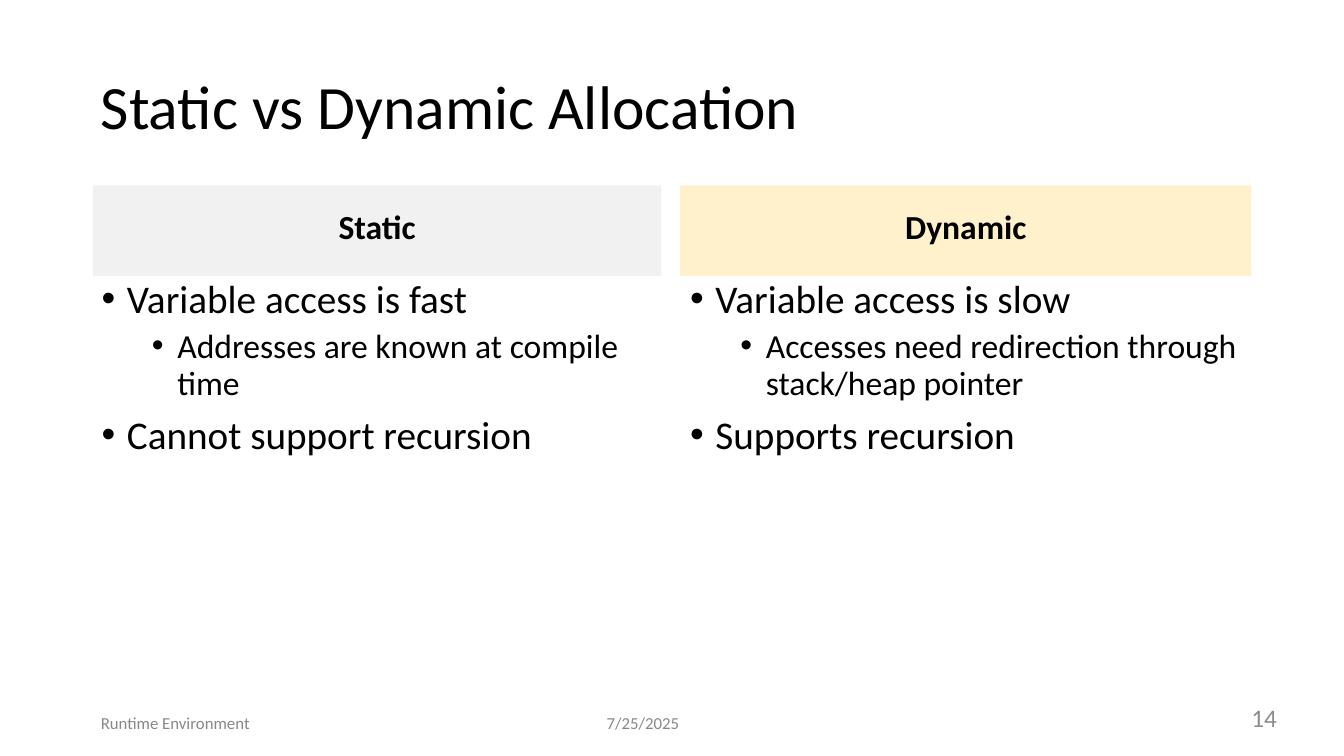
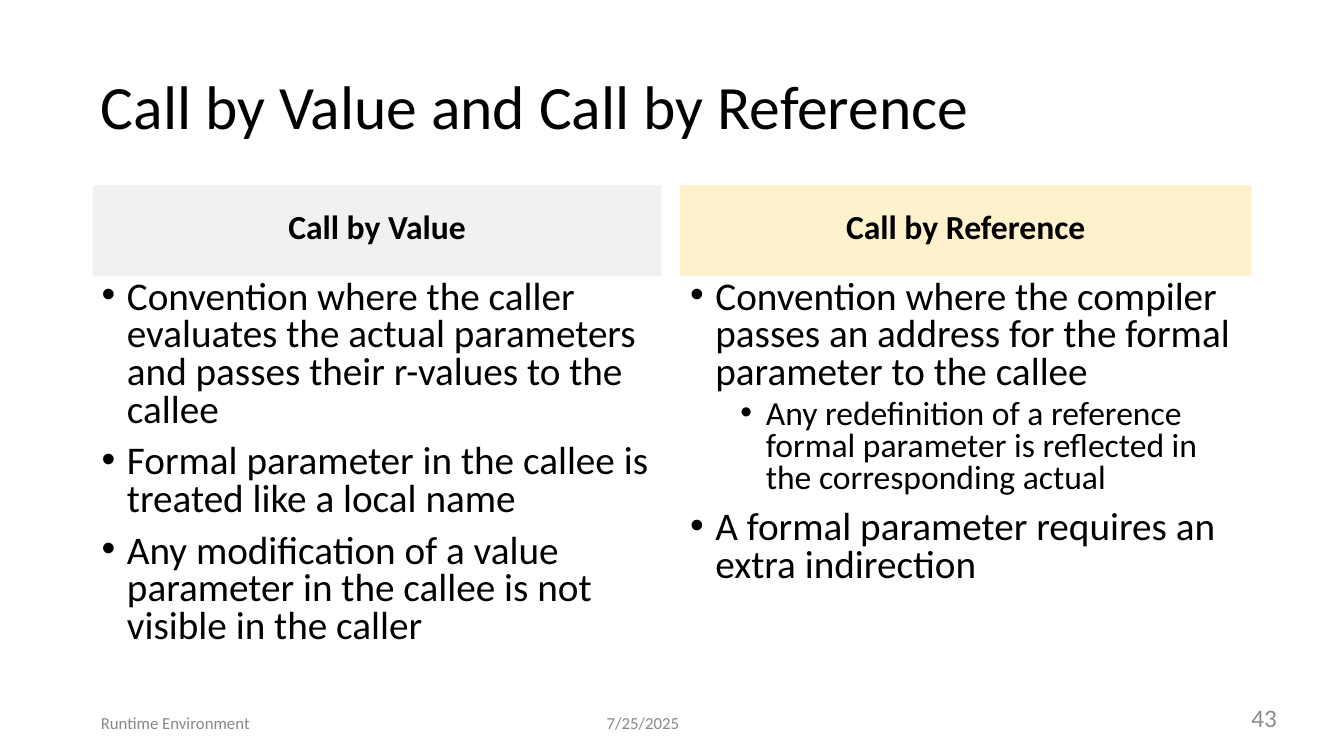
from dataclasses import dataclass

from lxml.etree import SubElement
from pptx import Presentation
from pptx.dml.color import RGBColor
from pptx.enum.shapes import MSO_SHAPE
from pptx.enum.text import MSO_ANCHOR, MSO_AUTO_SIZE, PP_ALIGN
from pptx.oxml.ns import qn
from pptx.util import Cm, Pt

FONT = "Calibri"
BLACK = RGBColor(0x00, 0x00, 0x00)
FOOTER_GRAY = RGBColor(0x88, 0x88, 0x88)
NUMBER_GRAY = RGBColor(0x8C, 0x8C, 0x8C)
BAND_GRAY = RGBColor(0xF1, 0xF1, 0xF1)
BAND_CREAM = RGBColor(0xFF, 0xF1, 0xCC)
TWO_CONTENT = 3


@dataclass
class Column:
    band_left: float
    band_width: float
    list_left: float
    list_width: float
    fill: RGBColor


@dataclass
class ListLevel:
    size: float
    indent: float
    line_spacing: object
    space_before: float


COLUMNS = (
    Column(2.34, 14.33, 2.54, 14, BAND_GRAY),
    Column(17.14, 14.4, 17.37, 13.84, BAND_CREAM),
)

LOOSE = (ListLevel(28, 0.66, 1.0, 6), ListLevel(24, 1.93, Pt(25.9), 5.7))
TIGHT = (ListLevel(28, 0.66, 0.8, 10), ListLevel(24, 1.93, Pt(23), 5))

PAGES = (
    {
        "title": "Static vs Dynamic Allocation",
        "number": "14",
        "levels": LOOSE,
        "inset": 0.13,
        "columns": (
            ("Static", 4.78, (
                (0, "Variable access is fast"),
                (1, "Addresses are known at compile time"),
                (0, "Cannot support recursion"),
            )),
            ("Dynamic", 4.78, (
                (0, "Variable access is slow"),
                (1, "Accesses need redirection through stack/heap pointer"),
                (0, "Supports recursion"),
            )),
        ),
    },
    {
        "title": "Call by Value and Call by Reference",
        "number": "43",
        "levels": TIGHT,
        "inset": 0.28,
        "columns": (
            ("Call by Value", 9.55, (
                (0, "Convention where the caller evaluates the actual parameters "
                    "and passes their r-values to the callee"),
                (0, "Formal parameter in the callee is treated like a local name"),
                (0, "Any modification of a value parameter in the callee is not "
                    "visible in the caller"),
            )),
            ("Call by Reference", 8.03, (
                (0, "Convention where the compiler passes an address for the "
                    "formal parameter to the callee"),
                (1, "Any redefinition of a reference formal parameter is "
                    "reflected in the corresponding actual"),
                (0, "A formal parameter requires an extra indirection"),
            )),
        ),
    },
)


def place(shape, left, top, width, height):
    shape.left, shape.top = Cm(left), Cm(top)
    shape.width, shape.height = Cm(width), Cm(height)


def prepare_frame(shape, top_inset=0):
    frame = shape.text_frame
    frame.word_wrap = True
    frame.auto_size = MSO_AUTO_SIZE.NONE
    frame.vertical_anchor = MSO_ANCHOR.TOP
    frame.margin_left = frame.margin_right = frame.margin_bottom = 0
    frame.margin_top = Cm(top_inset)
    return frame


def add_span(para, text, size, color=BLACK, bold=False):
    span = para.add_run()
    span.text = text
    span.font.name = FONT
    span.font.size = Pt(size)
    span.font.bold = bold
    span.font.color.rgb = color


def set_title(page, text):
    title = page.shapes.title
    place(title, 2.54, 0.86, 27.66, 3.61)
    para = prepare_frame(title, 0.86).paragraphs[0]
    para.alignment = PP_ALIGN.LEFT
    add_span(para, text, 44)


def add_band(page, column, text):
    band = page.shapes.add_shape(
        MSO_SHAPE.RECTANGLE,
        Cm(column.band_left), Cm(4.67), Cm(column.band_width), Cm(2.29),
    )
    band.shadow.inherit = False
    band.fill.solid()
    band.fill.fore_color.rgb = column.fill
    band.line.fill.background()
    para = prepare_frame(band, 0.53).paragraphs[0]
    para.alignment = PP_ALIGN.CENTER
    add_span(para, text, 24, bold=True)


def format_bullet(para, level):
    para.line_spacing = level.line_spacing
    para.space_before = Pt(level.space_before)
    properties = para._p.get_or_add_pPr()
    properties.set("marL", str(Cm(level.indent)))
    properties.set("indent", str(-Cm(0.64)))
    SubElement(properties, qn("a:buChar")).set("char", "•")


def fill_list(body, column, height, inset, levels, items):
    place(body, column.list_left, 6.78, column.list_width, height)
    frame = prepare_frame(body, inset)
    for index, (depth, text) in enumerate(items):
        para = frame.add_paragraph() if index else frame.paragraphs[0]
        para.level = depth
        format_bullet(para, levels[depth])
        add_span(para, text, levels[depth].size)


def add_label(page, position, text, size, color, alignment=PP_ALIGN.LEFT):
    box = page.shapes.add_textbox(*map(Cm, position))
    para = prepare_frame(box).paragraphs[0]
    para.alignment = alignment
    add_span(para, text, size, color)


def add_footer(page, number):
    add_label(page, (2.54, 17.96, 5.5, 0.45), "Runtime Environment", 12, FOOTER_GRAY)
    add_label(page, (15.29, 17.96, 3.25, 0.45), "7/25/2025", 12, FOOTER_GRAY)
    add_label(page, (24.38, 17.7, 7.8, 0.97), number, 18, NUMBER_GRAY, PP_ALIGN.RIGHT)


def add_comparison(deck, content):
    page = deck.slides.add_slide(deck.slide_layouts[TWO_CONTENT])
    set_title(page, content["title"])
    bodies = list(page.placeholders)[1:]
    for body, column, (heading, height, items) in zip(bodies, COLUMNS, content["columns"]):
        add_band(page, column, heading)
        fill_list(body, column, height, content["inset"], content["levels"], items)
    add_footer(page, content["number"])


def main():
    deck = Presentation()
    deck.slide_width, deck.slide_height = Cm(33.87), Cm(19.05)
    for content in PAGES:
        add_comparison(deck, content)
    deck.save("out.pptx")


if __name__ == "__main__":
    main()
